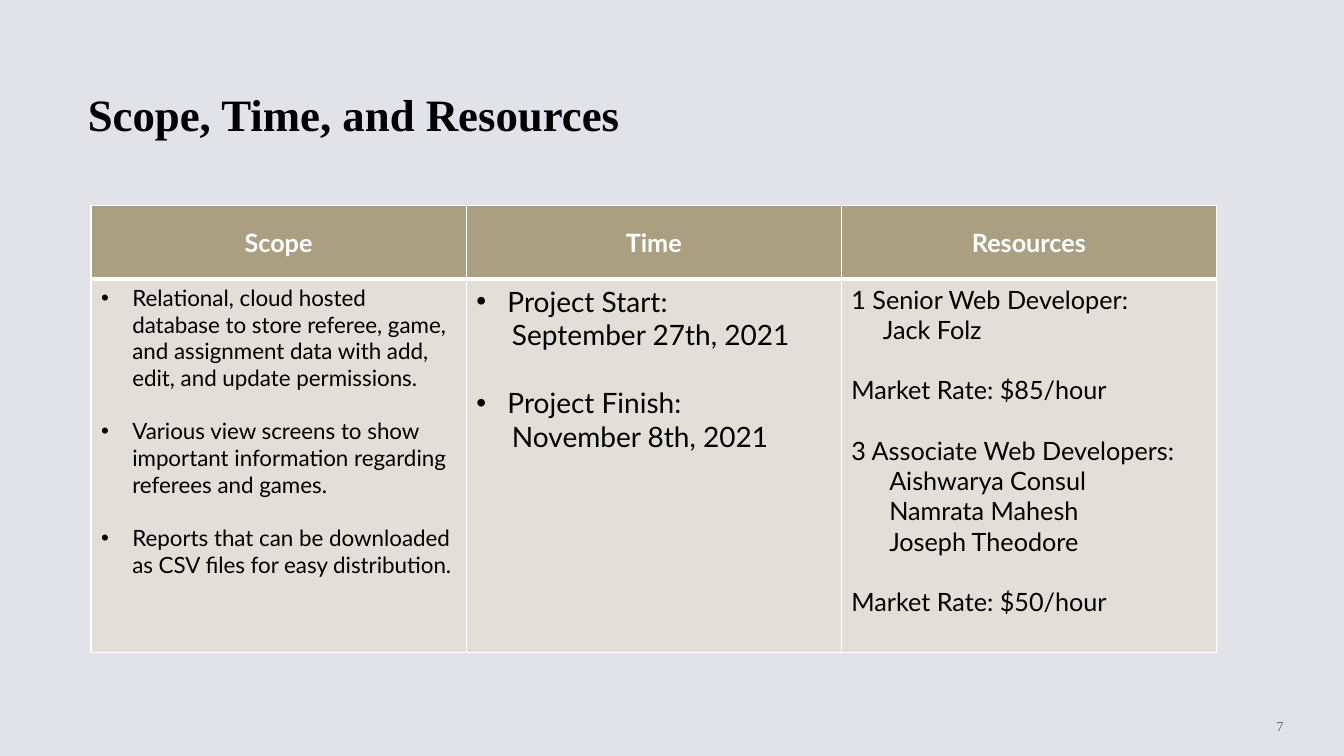
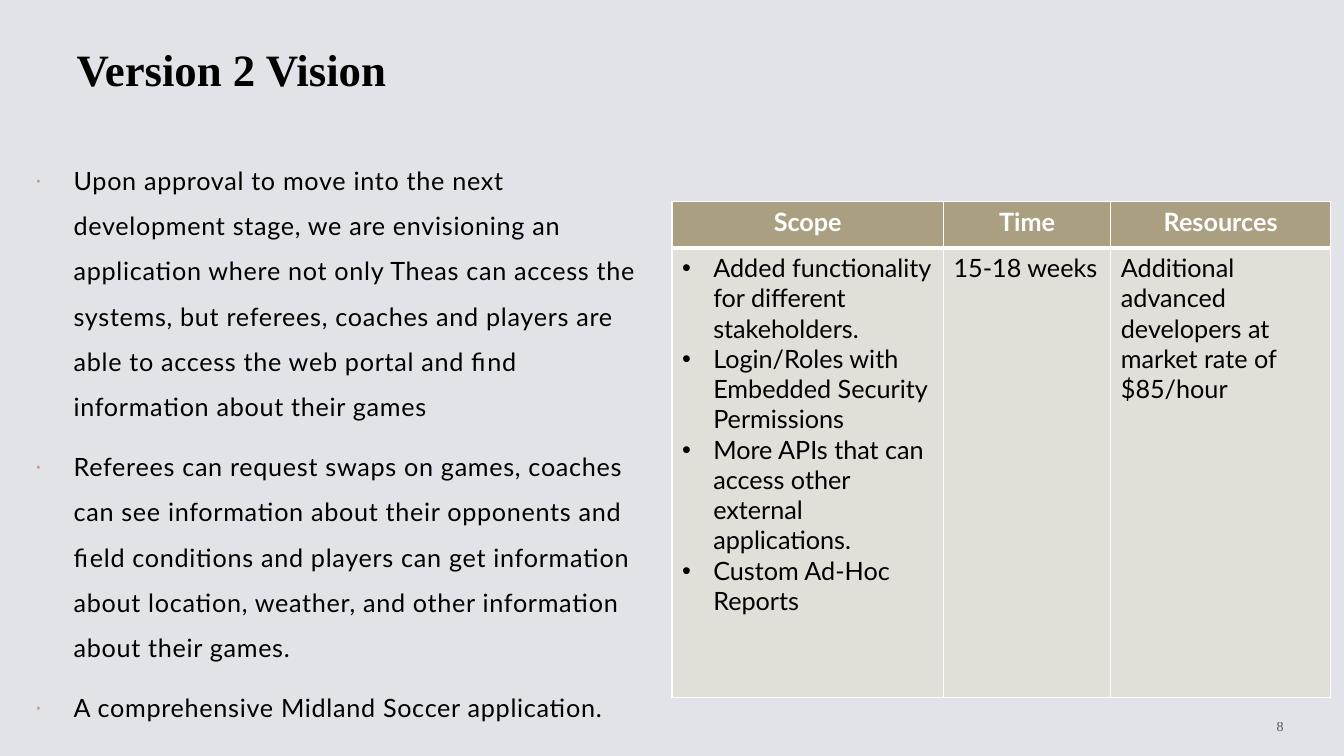
from dataclasses import dataclass

from lxml.etree import SubElement
from pptx import Presentation
from pptx.dml.color import RGBColor
from pptx.enum.text import MSO_ANCHOR, PP_ALIGN
from pptx.oxml import parse_xml
from pptx.oxml.ns import nsdecls, qn
from pptx.util import Pt

BACKGROUND = RGBColor(0xE2, 0xE3, 0xE8)
HEADER = RGBColor(0xAA, 0xA0, 0x81)
CELL = RGBColor(0xE2, 0xDF, 0xD8)
ACCENT = RGBColor(0xC5, 0x93, 0x96)
BLACK = RGBColor(0, 0, 0)
WHITE = RGBColor(0xFF, 0xFF, 0xFF)

SERIF = "Times New Roman"
SANS = "Lato"
TITLE_FONT = {"name": SERIF, "size": Pt(32), "bold": True}
NUMBER_FONT = {"name": SERIF, "size": Pt(10)}
HEADER_FONT = {"name": SANS, "size": Pt(18), "bold": True}
BODY_FONT = {"name": SANS, "size": Pt(18), "bold": False}

CELL_HANG = 22.3
BODY_HANG = 28


@dataclass
class Para:
    text: str
    bullet: bool = False
    indent: float = 0
    before: float = 0


def set_font(font, style, color):
    for name, value in style.items():
        setattr(font, name, value)
    font.color.rgb = color


def set_bullet(p, char, hang, color):
    pPr = p._p.get_or_add_pPr()
    pPr.set("marL", str(Pt(hang)))
    pPr.set("indent", str(Pt(-hang)))
    clr = SubElement(pPr, qn("a:buClr"))
    SubElement(clr, qn("a:srgbClr"), val=str(color))
    SubElement(pPr, qn("a:buFont"), typeface="Arial")
    SubElement(pPr, qn("a:buChar"), char=char)


def set_tracking(r, points):
    r._r.get_or_add_rPr().set("spc", str(int(points * 100)))


def paragraphs(tf, items):
    """Yield each item with its own paragraph of the text frame."""
    for i, item in enumerate(items):
        yield item, tf.add_paragraph() if i else tf.paragraphs[0]


def set_borders(cell, widths):
    """Draw white borders; widths maps L, R, T and B to points."""
    tcPr = cell._tc.get_or_add_tcPr()
    for i, (side, width) in enumerate(widths.items()):
        tcPr.insert(i, parse_xml(
            f'<a:ln{side} {nsdecls("a")} w="{Pt(width)}"><a:solidFill>'
            f'<a:srgbClr val="{WHITE}"/></a:solidFill></a:ln{side}>'))


def add_page(prs, title, left, top, number):
    s = prs.slides.add_slide(prs.slide_layouts.get_by_name("Title Only"))
    sp = s.shapes.title
    sp.left, sp.top, sp.width, sp.height = Pt(left), Pt(top), Pt(804), Pt(88)
    tf = sp.text_frame
    tf.vertical_anchor = MSO_ANCHOR.BOTTOM
    p = tf.paragraphs[0]
    p.text = title
    p.alignment = PP_ALIGN.LEFT
    set_font(p.runs[0].font, TITLE_FONT, BLACK)
    add_number(s, number)
    return s


def add_number(s, number):
    tf = s.shapes.add_textbox(Pt(786), Pt(500.5), Pt(138), Pt(36)).text_frame
    tf.word_wrap = True
    tf.vertical_anchor = MSO_ANCHOR.MIDDLE
    p = tf.paragraphs[0]
    p.alignment = PP_ALIGN.RIGHT
    r = p.add_run()
    r.text = str(number)
    set_font(r.font, NUMBER_FONT, BLACK)
    set_tracking(r, 2)
    color = r._r.rPr.find(".//" + qn("a:srgbClr"))
    SubElement(color, qn("a:alpha"), val="60000")


def fill_header(cell, text, anchor):
    cell.fill.solid()
    cell.fill.fore_color.rgb = HEADER
    set_borders(cell, {"L": 1, "R": 1, "T": 1, "B": 3})
    cell.vertical_anchor = anchor
    p = cell.text_frame.paragraphs[0]
    p.text = text
    p.alignment = PP_ALIGN.CENTER
    set_font(p.runs[0].font, HEADER_FONT, WHITE)


def fill_cell(cell, items, size):
    cell.fill.solid()
    cell.fill.fore_color.rgb = CELL
    set_borders(cell, {"L": 1, "R": 1, "T": 3, "B": 1})
    for item, p in paragraphs(cell.text_frame, items):
        if item.bullet:
            set_bullet(p, "•", CELL_HANG, BLACK)
        elif item.indent:
            p._p.get_or_add_pPr().set("marL", str(Pt(item.indent)))
        if item.before:
            p.space_before = Pt(item.before)
        r = p.add_run()
        r.text = item.text
        set_font(r.font, {**BODY_FONT, "size": Pt(size)}, BLACK)


def add_plan_table(s, left, top, widths, heights, columns, anchor):
    """Add a table from (heading, text size, paragraphs) columns."""
    table = s.shapes.add_table(2, len(columns), Pt(left), Pt(top),
                               Pt(sum(widths)), Pt(sum(heights))).table
    table.horz_banding = False
    for row, height in zip(table.rows, heights):
        row.height = Pt(height)
    for i, (heading, size, items) in enumerate(columns):
        table.columns[i].width = Pt(widths[i])
        fill_header(table.cell(0, i), heading, anchor)
        fill_cell(table.cell(1, i), items, size)


def add_body(s, left, top, width, height, texts):
    tf = s.shapes.add_textbox(Pt(left), Pt(top), Pt(width), Pt(height)).text_frame
    tf.word_wrap = True
    for i, (text, p) in enumerate(paragraphs(tf, texts)):
        set_bullet(p, "·", BODY_HANG, ACCENT)
        p.line_spacing = 1.5
        if i:
            p.space_before = Pt(10)
        r = p.add_run()
        r.text = text
        set_font(r.font, BODY_FONT, BLACK)
        set_tracking(r, 0.5)


def build_scope(prs):
    s = add_page(prs, "Scope, Time, and Resources", 55.5, 16, 7)
    scope = [
        Para("Relational, cloud hosted database to store referee, game, and "
             "assignment data with add, edit, and update permissions.", True),
        Para("Various view screens to show important information regarding "
             "referees and games.", True, before=19),
        Para("Reports that can be downloaded as CSV files for easy "
             "distribution.", True, before=19),
    ]
    time = [
        Para("Project Start:", True),
        Para("September 27th, 2021", indent=25.5),
        Para("Project Finish:", True, before=24),
        Para("November 8th, 2021", indent=25.5),
    ]
    resources = [
        Para("1 Senior Web Developer:"),
        Para("Jack Folz", indent=22.5),
        Para("Market Rate: $85/hour", before=21.6),
        Para("3 Associate Web Developers:", before=21.6),
        Para("Aishwarya Consul", indent=27),
        Para("Namrata Mahesh", indent=27),
        Para("Joseph Theodore", indent=27),
        Para("Market Rate: $50/hour", before=21.6),
    ]
    add_plan_table(s, 65, 147, [268] * 3, [52.5, 266.5],
                   [("Scope", 16, scope), ("Time", 20, time),
                    ("Resources", 18, resources)], MSO_ANCHOR.MIDDLE)


def build_vision(prs):
    s = add_page(prs, "Version 2 Vision", 47.5, -16.5, 8)
    add_body(s, 17.5, 103.5, 456, 397.5, [
        "Upon approval to move into the next development stage, we are "
        "envisioning an application where not only Theas can access the "
        "systems, but referees, coaches and players are able to access the "
        "web portal and find information about their games",
        "Referees can request swaps on games, coaches can see information "
        "about their opponents and field conditions and players can get "
        "information about location, weather, and other information about "
        "their games.",
        "A comprehensive Midland Soccer application.",
    ])
    scope = [Para(text, True) for text in (
        "Added functionality for different stakeholders.",
        "Login/Roles with Embedded Security Permissions",
        "More APIs that can access other external applications.",
        "Custom Ad-Hoc Reports")]
    resources = [Para("Additional advanced developers at market rate of $85/hour")]
    add_plan_table(s, 480, 144, [194, 119.5, 157], [33, 321],
                   [("Scope", 18, scope), ("Time", 18, [Para("15-18 weeks")]),
                    ("Resources", 18, resources)], MSO_ANCHOR.TOP)


def main():
    prs = Presentation()
    prs.slide_width, prs.slide_height = Pt(960), Pt(540)
    fill = prs.slide_master.background.fill
    fill.solid()
    fill.fore_color.rgb = BACKGROUND
    build_scope(prs)
    build_vision(prs)
    prs.save("out.pptx")


if __name__ == "__main__":
    main()
